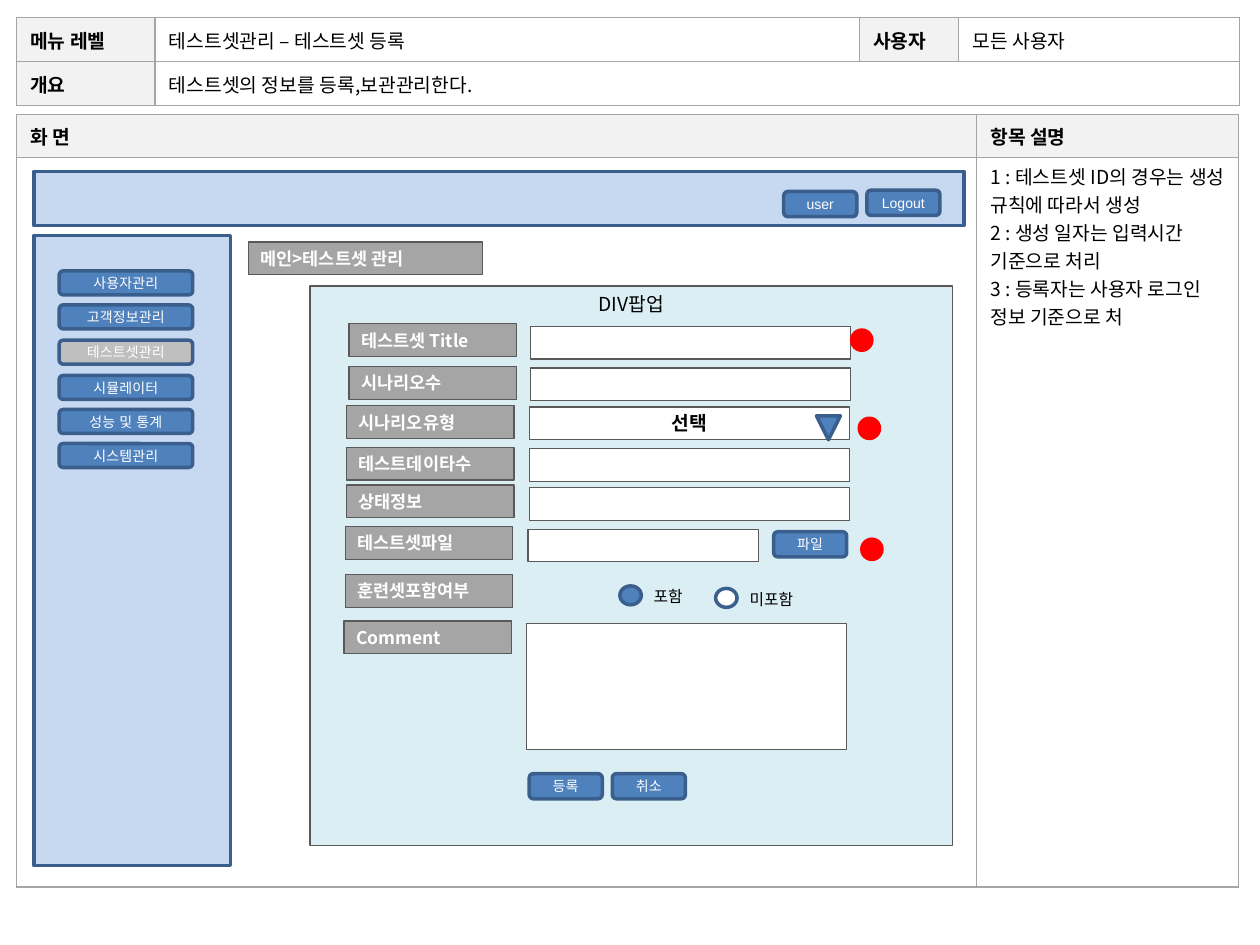
from lxml import etree
from pptx import Presentation
from pptx import util as u
from pptx.dml import color
from pptx.enum import shapes, text
from pptx.oxml import ns

COLS, ROWS = 1000, 750
UNIT = u.Inches(10) // COLS
SANS, ARIAL = "Noto Sans CJK KR", "Arial"
NAVY, BLUE, PALE, AQUA = "3A5F8C", "4F81BD", "C6D9F1", "DBEEF4"
GRAY, DARK, HEAD, SOFT = "A5A5A5", "595959", "F2F2F2", "BFBFBF"
WHITE, BLACK, RED = "FFFFFF", "000000", "FF0000"
KIND = shapes.MSO_SHAPE
MID, TOP = text.MSO_ANCHOR.MIDDLE, text.MSO_ANCHOR.TOP
LEFT, CENTER = text.PP_ALIGN.LEFT, text.PP_ALIGN.CENTER


def rgb(code):
    """Turn a hex string into a colour."""
    return color.RGBColor.from_string(code)


def grid(*cells):
    """Turn grid columns and rows into lengths."""
    return [cell * UNIT for cell in cells]


def write(frame, words, size=11, font=SANS, ink=BLACK, bold=False,
          align=LEFT, anchor=MID, wrap=True):
    """Fill a text frame, one paragraph for each line of words."""
    frame.word_wrap = wrap
    frame.vertical_anchor = anchor
    for i, line in enumerate(words.split("\n")):
        para = frame.add_paragraph() if i else frame.paragraphs[0]
        para.alignment = align
        run = para.add_run()
        run.text = line
        run.font.size = u.Pt(size)
        run.font.bold = bold
        run.font.color.rgb = rgb(ink)
        run.font.name = font
        east = etree.SubElement(run.font._element, ns.qn("a:ea"))
        east.set("typeface", font)


def draw(slide, kind, at, fill, line=NAVY, width=2, words="", **look):
    """Draw a preset shape with optional text."""
    shape = slide.shapes.add_shape(kind, *grid(*at))
    shape.shadow.inherit = False
    shape.fill.solid()
    shape.fill.fore_color.rgb = rgb(fill)
    shape.line.color.rgb = rgb(line)
    shape.line.width = u.Pt(width)
    if words:
        write(shape.text_frame, words, **look)
    return shape


def button(slide, words, x, y, w=58, h=20, fill=BLUE):
    """Draw a rounded button."""
    draw(slide, KIND.ROUNDED_RECTANGLE, (x, y, w, h), fill, words=words,
         size=8, font=ARIAL, ink=WHITE, align=CENTER)


def label(slide, words, x, y, w=133):
    """Draw a gray caption box."""
    draw(slide, KIND.RECTANGLE, (x, y, w, 26), GRAY, DARK, 0.75, words,
         size=10, ink=WHITE, bold=True)


def field(slide, x, y, w=254, h=26, words=""):
    """Draw a white input box."""
    draw(slide, KIND.RECTANGLE, (x, y, w, h), WHITE, DARK, 0.75, words,
         bold=True, align=CENTER)


def radio(slide, words, x, y, fill):
    """Draw a radio button and its caption."""
    draw(slide, KIND.OVAL, (x, y, 17, 15), fill)
    box = slide.shapes.add_textbox(*grid(x + 17, y - 4, 20 + 13 * len(words), 25))
    write(box.text_frame, words, size=9, font=ARIAL, anchor=TOP, wrap=False)


def edge(cell):
    """Give a table cell thin gray borders."""
    props = cell._tc.get_or_add_tcPr()
    for side in ("lnL", "lnR", "lnT", "lnB"):
        line = etree.SubElement(props, ns.qn("a:" + side), w=str(u.Pt(0.75)))
        solid = etree.SubElement(line, ns.qn("a:solidFill"))
        etree.SubElement(solid, ns.qn("a:srgbClr"), val=GRAY)


def table(slide, at, wide, high, rows, heads):
    """Draw a bordered table whose head cells are bold on gray."""
    grown = slide.shapes.add_table(len(high), len(wide), *grid(*at)).table
    grown.first_row = grown.horz_banding = False
    for col, size in zip(grown.columns, wide):
        col.width = size * UNIT
    for row, size in zip(grown.rows, high):
        row.height = size * UNIT
    for r, line in enumerate(rows):
        for c, words in enumerate(line):
            cell, head = grown.cell(r, c), (r, c) in heads
            edge(cell)
            cell.fill.solid()
            cell.fill.fore_color.rgb = rgb(HEAD if head else WHITE)
            cell.margin_left = cell.margin_right = 11 * UNIT
            cell.margin_top = cell.margin_bottom = 4 * UNIT
            anchor = TOP if "\n" in words else MID
            cell.vertical_anchor = anchor
            if words:
                write(cell.text_frame, words, bold=head, anchor=anchor)
    return grown


def tables(slide):
    """Draw the screen table and the heading table."""
    notes = ("1 : 테스트셋 ID의 경우는 생성 규칙에 따라서 생성\n"
             "2 : 생성 일자는 입력시간 기준으로 처리\n"
             "3 : 등록자는 사용자 로그인 정보 기준으로 처")
    table(slide, (13, 91, 970, 613), (762, 208), (34, 579),
          [("화 면", "항목 설명"), ("", notes)], {(0, 0), (0, 1)})
    info = table(slide, (13, 14, 970, 70), (110, 559, 79, 223), (35, 35),
                 [("메뉴 레벨", "테스트셋관리 – 테스트셋 등록", "사용자", "모든 사용자"),
                  ("개요", "테스트셋의 정보를 등록,보관관리한다.", "", "")],
                 {(0, 0), (0, 2), (1, 0)})
    info.cell(1, 1).merge(info.cell(1, 3))


def frame(slide):
    """Draw the top bar and the side menu."""
    draw(slide, KIND.RECTANGLE, (27, 136, 738, 43), PALE)
    draw(slide, KIND.RECTANGLE, (27, 187, 156, 500), PALE)
    button(slide, "Logout", 688, 151)
    button(slide, "user", 622, 152)
    menu = ("사용자관리", "고객정보관리", "테스트셋관리",
            "시뮬레이터", "성능 및 통계", "시스템관리")
    for i, words in enumerate(menu):
        fill = SOFT if words == "테스트셋관리" else BLUE
        button(slide, words, 47, round(215 + 27.5 * i), 106, 19, fill)
    label(slide, "메인>테스트셋 관리", 197, 192, 186)


def popup(slide):
    """Draw the entry form."""
    draw(slide, KIND.RECTANGLE, (246, 227, 510, 444), AQUA, DARK, 0.75,
         "DIV팝업", align=CENTER, anchor=TOP)
    form = (("테스트셋 Title", 277, 257, (421, 259)),
            ("시나리오수", 277, 291, (421, 292)),
            ("시나리오유형", 275, 322, (420, 323, 254, 26, "선택")),
            ("테스트데이타수", 275, 355, (420, 356)),
            ("상태정보", 275, 385, (420, 387)),
            ("테스트셋파일", 274, 418, (419, 420, 183)),
            ("훈련셋포함여부", 274, 456, None),
            ("Comment", 273, 493, (418, 495, 254, 100)))
    for words, x, y, entry in form:
        label(slide, words, x, y)
        if entry:
            field(slide, *entry)
    arrow = draw(slide, KIND.ISOSCELES_TRIANGLE, (648, 330, 19, 19), BLUE)
    arrow.rotation = 180
    for words, x, y in (("파일", 614, 422), ("등록", 420, 614), ("취소", 486, 614)):
        button(slide, words, x, y)
    radio(slide, "포함", 492, 465, BLUE)
    radio(slide, "미포함", 568, 467, WHITE)
    for x, y in ((676, 262), (682, 332), (684, 428)):
        draw(slide, KIND.OVAL, (x, y, 16, 16), RED, RED)


def main():
    """Build the slide and save it."""
    deck = Presentation()
    deck.slide_width, deck.slide_height = grid(COLS, ROWS)
    slide = deck.slides.add_slide(deck.slide_layouts[6])
    tables(slide)
    frame(slide)
    popup(slide)
    deck.save("out.pptx")


if __name__ == "__main__":
    main()
